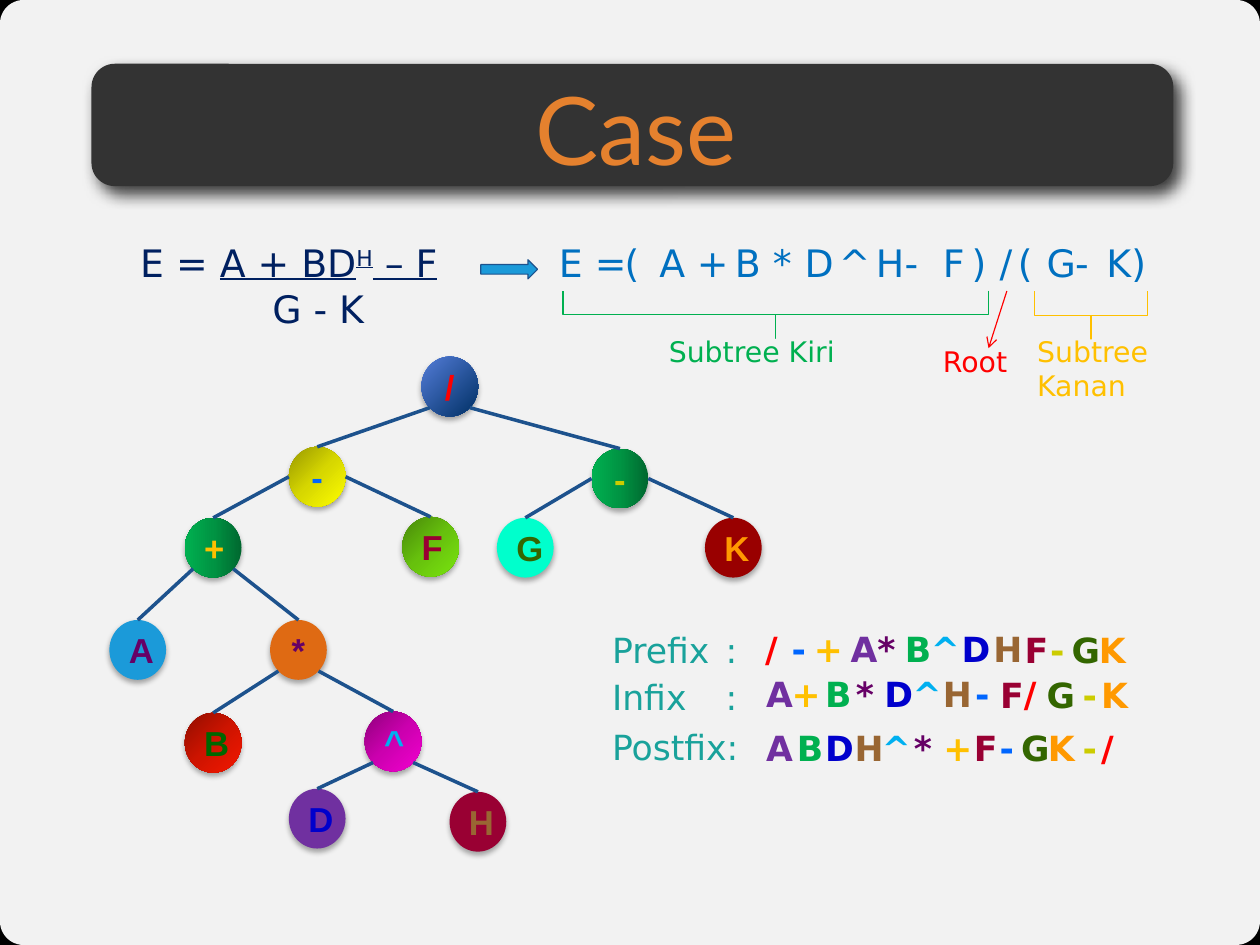
from math import sqrt
from lxml.etree import SubElement
from pptx import Presentation
from pptx.dml.color import RGBColor
from pptx.enum.shapes import MSO_CONNECTOR as LINK, MSO_SHAPE as KIND
from pptx.enum.text import MSO_ANCHOR as ANCHOR, PP_ALIGN as ALIGN
from pptx.oxml.ns import qn
from pptx.util import Cm, Pt

# Content; lengths in cm
WIDE, HIGH = 28.22, 21.17
SANS = "DejaVu Sans"
BLUE, SKY, TEAL, NAVY = "1D528D", "1B9AD9", "19A29B", "002060"
GREEN, GOLD, RED, INK = "00B050", "FFC000", "FF0000", "0070C0"

LABELS = [("Prefix\t:", 13.97), ("Infix\t:", 15.01), ("Postfix:", 16.13)]
ROWS = (13.94, 14.94, 16.17)  # tops of the symbols in each order
# Symbol: colour, left in prefix, infix and postfix order;
# "-r" is the minus of the right subtree
MARKS = {
    "/": (RED, 16.89, 22.68, 24.41),
    "+": (GOLD, 17.98, 17.48, 20.88),
    "A": ("7030A0", 18.8, 16.91, 16.91),
    "-": ("0066FF", 17.48, 21.59, 22.14),
    "B": (GREEN, 20.02, 18.23, 17.6),
    "D": ("0000CC", 21.29, 19.56, 18.23),
    "H": ("996633", 22, 20.87, 18.89),
    "*": ("660066", 19.4, 18.92, 20.22),
    "^": ("00B0F0", 20.6, 20.19, 19.5),
    "G": ("336600", 23.75, 23.19, 22.62),
    "K": ("FF9900", 24.36, 24.41, 23.22),
    "-r": ("CCCC00", 23.27, 24, 24),
    "F": ("990033", 22.7, 22.15, 21.56),
}
NODE_HUES = {"A": "660066", "B": "006600"}  # where a node differs

LEAF = (180, "00682F", "009443", "00B050")
NODES = {  # left, top, solid colour or (angle, gradient colours)
    "/": (9.44, 7.99, (45, "547DD8", "003065")),
    "-": (6.47, 10.01, (45, "979700", "D7D700", "FFFF00")),
    "-r": (13.25, 10.05, LEAF),
    "+": (4.14, 11.6, LEAF),
    "F": (9.01, 11.58, (45, "488809", "67C10D", "7AE50F")),
    "G": (11.13, 11.6, "00FFCC"),
    "K": (15.79, 11.6, "990000"),
    "A": (2.45, 13.89, SKY),
    "*": (6.05, 13.89, "DF6A13"),
    "B": (4.14, 15.97, (45, "910E00", "CE1400", "F41700")),
    "^": (8.17, 15.94, (45, "8F007B", "CC00AF", "F200CF")),
    "D": (6.47, 17.67, "7030A0"),
    "H": (10.07, 17.74, "990033"),
}
NODE_W, NODE_H = 1.27, 1.34
TREE = {"/": ("-", "-r"), "-": ("+", "F"), "-r": ("G", "K"),
        "+": ("A", "*"), "*": ("B", "^"), "^": ("D", "H")}
SIDE = ("-", "-r")  # nodes whose branches leave from the sides

TERMS = [("A", 14.52), ("+", 15.36), ("B", 16.21), ("*", 17.06),
         ("D", 17.77), ("^", 18.54), ("H", 19.37), ("-", 20.01),
         ("F", 20.87), (")", 21.51), ("(", 13.74), ("/", 22.14),
         ("G", 23.19), ("(", 22.55), ("-", 23.83), (")", 25.09),
         ("E =", 12.27), ("K", 24.53)]
TERM_TOP = 5.25
RATIO = [  # indent, runs of (text, underline, raised)
    (1.06, [("E = ", False, 0), ("A + BD", True, 0), ("H", True, 30),
            (" – F", True, 0)]),
    (4.02, [("G - K", False, 0)]),
]
BRACES = [((16.84, 2.28, 1.07, 9.53), GREEN), ((23.9, 5.79, 1.07, 2.54), GOLD)]
NOTES = [("Subtree Kiri", (14.73, 7.37, 5.72, 1.02), GREEN),
         ("Subtree Kanan", (22.98, 7.37, 3.18, 1.8), GOLD),
         ("Root", (20.87, 7.58, 2.11, 1.02), RED)]
GLOW = (32, 3.5, 2.2, 90)  # alpha, blur, distance, angle


def rgb(code):
    return RGBColor.from_string(code)


def style(run, hue, **form):
    for key, val in form.items():
        setattr(run.font, key, val)
    run.font.color.rgb = rgb(hue)


def write(text, box, hue, size, name=SANS, **form):
    area = slide.shapes.add_textbox(*map(Cm, box))
    frame = area.text_frame
    frame.word_wrap = True
    run = frame.paragraphs[0].add_run()
    run.text = text
    style(run, hue, size=Pt(size), name=name, **form)
    return frame


def shade(shape, alpha, blur, dist, angle):
    fx = SubElement(shape._element.spPr, qn("a:effectLst"))
    cast = SubElement(fx, qn("a:outerShdw"), blurRad=str(Pt(blur)),
                      dist=str(Pt(dist)), dir=str(angle * 60000),
                      algn="ctr", rotWithShape="0")
    tone = SubElement(cast, qn("a:srgbClr"), val="000000")
    SubElement(tone, qn("a:alpha"), val=str(alpha * 1000))


def blend(shape, angle, *hues):
    props = shape._element.spPr
    grad = SubElement(props, qn("a:gradFill"), rotWithShape="1")
    stops = SubElement(grad, qn("a:gsLst"))
    for i, hue in enumerate(hues):
        place = 100000 * i // (len(hues) - 1)
        stop = SubElement(stops, qn("a:gs"), pos=str(place))
        SubElement(stop, qn("a:srgbClr"), val=hue)
    SubElement(grad, qn("a:lin"), ang=str(angle * 60000), scaled="0")


def draw(kind, box, fill=None, line=None, glow=None):
    shape = slide.shapes.add_shape(kind, *map(Cm, box))
    if isinstance(fill, tuple):
        blend(shape, *fill)
    elif fill:
        shape.fill.solid()
        shape.fill.fore_color.rgb = rgb(fill)
    else:
        shape.fill.background()
    if line:
        shape.line.color.rgb = rgb(line)
        shape.line.width = Pt(0.75)
    else:
        shape.line.fill.background()
    if glow:
        shade(shape, *glow)
    else:
        shape.shadow.inherit = False
    return shape


def join(start, end, hue, width):
    line = slide.shapes.add_connector(LINK.STRAIGHT, *map(Cm, start + end))
    line.line.color.rgb = rgb(hue)
    line.line.width = Pt(width)
    SubElement(line._element.spPr, qn("a:effectLst"))
    return line


deck = Presentation()
deck.slide_width, deck.slide_height = Cm(WIDE), Cm(HIGH)
slide = deck.slides.add_slide(deck.slide_layouts[6])

# Background and title
slide.background.fill.solid()
slide.background.fill.fore_color.rgb = rgb("000000")
page = draw(KIND.ROUNDED_RECTANGLE, (0, 0, WIDE, HIGH), "FFFFFF")
page.adjustments[0] = 0.025
tone = page._element.spPr.find(qn("a:solidFill"))[0]
SubElement(tone, qn("a:alpha"), val="95000")
bar = draw(KIND.ROUNDED_RECTANGLE, (2.05, 1.43, 24.23, 2.74), "333333",
           glow=(75, 10, 6, 51))
bar.adjustments[0] = 0.19
head = write("Case", (2.18, 1.59, 24.13, 2.54), "E5812E", 60, "Lato")
head.vertical_anchor = ANCHOR.MIDDLE
head.paragraphs[0].alignment = ALIGN.CENTER
for edge in ("left", "top", "right", "bottom"):
    setattr(head, "margin_" + edge, 0)

# Traversal orders; the last four symbols sit slightly lower in two rows
for label, top in LABELS:
    write(label, (13.46, top, 3.81, 1.19), TEAL, 22)
for row, top in enumerate(ROWS):
    for i, (key, (hue, *lefts)) in enumerate(MARKS.items()):
        drop = 0.03 if row < 2 and i > 8 else 0
        write(key[0], (lefts[row], top + drop, 1.27, 1.19), hue, 22, bold=True)

# Fraction
area = slide.shapes.add_textbox(*map(Cm, (1.83, TERM_TOP, 8.89, 2.31)))
frame = area.text_frame
frame.word_wrap = True
for i, (indent, parts) in enumerate(RATIO):
    para = frame.add_paragraph() if i else frame.paragraphs[0]
    para._p.get_or_add_pPr().set("marL", str(Cm(indent)))
    for text, under, rise in parts:
        run = para.add_run()
        run.text = text
        style(run, NAVY, size=Pt(24), name=SANS, underline=under)
        if rise:
            run._r.get_or_add_rPr().set("baseline", str(rise * 1000))

# Expression on one line, with its parts marked
for text, left in TERMS:
    write(text, (left, TERM_TOP, 2.11, 1.27), INK, 24)
draw(KIND.RIGHT_ARROW, (10.77, 5.82, 1.27, 0.43), SKY, BLUE)
for box, hue in BRACES:
    brace = draw(KIND.LEFT_BRACE, box, line=hue)
    brace.rotation = 270
    brace.adjustments[0], brace.adjustments[1] = 0, 0.5
for text, box, hue in NOTES:
    write(text, box, hue, 18)
arrow = join((22.55, 6.52), (22.14, 7.8), RED, 0.75)
SubElement(arrow.line._get_or_add_ln(), qn("a:tailEnd"), type="arrow")

# Tree nodes
balls = {}
for key, (left, top, fill) in NODES.items():
    ball = draw(KIND.OVAL, (left, top, NODE_W, NODE_H), fill, glow=GLOW)
    ball.text_frame.vertical_anchor = ANCHOR.MIDDLE
    para = ball.text_frame.paragraphs[0]
    para.alignment = ALIGN.CENTER
    run = para.add_run()
    run.text = key[0]
    hue = NODE_HUES.get(key, MARKS[key][0])
    style(run, hue, size=Pt(22), name="Arial", bold=True)
    balls[key] = ball

# Branches: from the parent's side or lower diagonal to the child's top
for key, kids in TREE.items():
    left, top, _ = NODES[key]
    dx, dy = (1, 0) if key in SIDE else (sqrt(0.5), sqrt(0.5))
    for sign, kid in zip((-1, 1), kids):
        start = (left + NODE_W / 2 * (1 + sign * dx), top + NODE_H / 2 * (1 + dy))
        end = (NODES[kid][0] + NODE_W / 2, NODES[kid][1])
        join(start, end, BLUE, 2.25).end_connect(balls[kid], 0)

deck.save("out.pptx")
